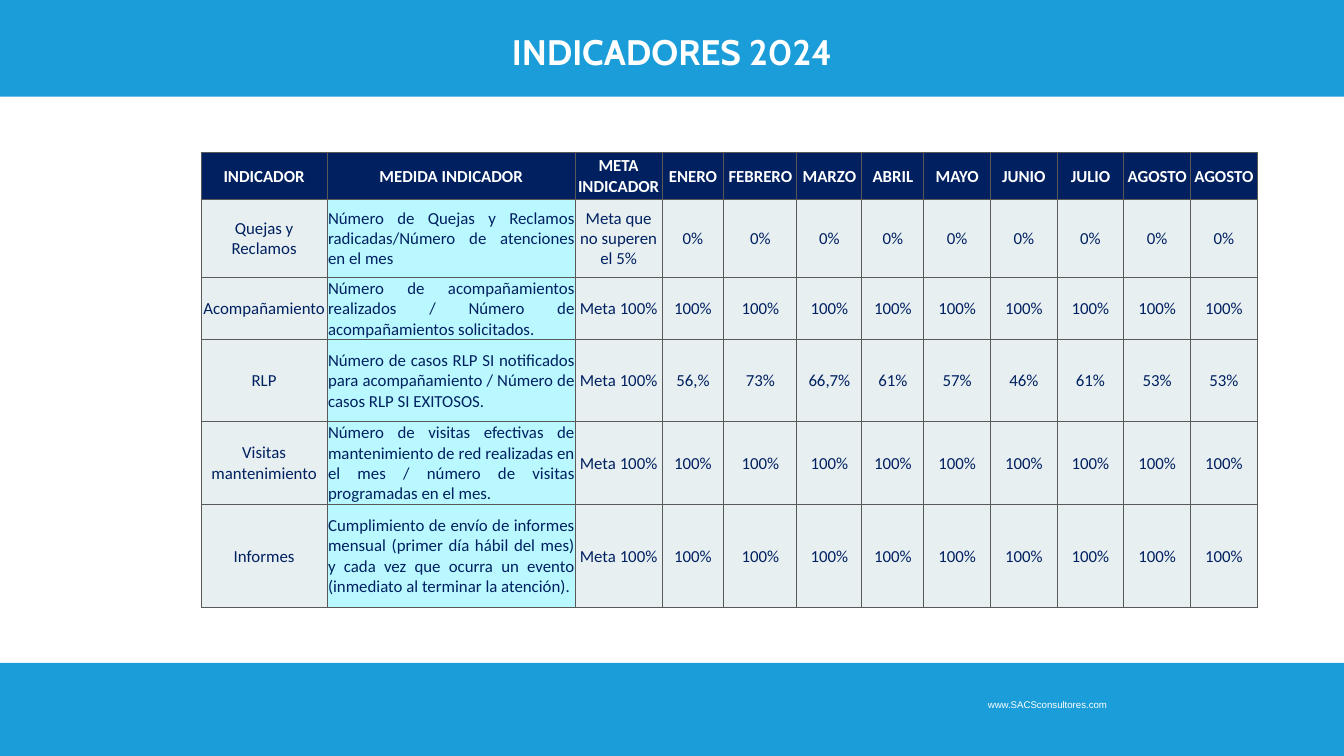
from lxml import etree
from pptx import Presentation
from pptx.dml.color import RGBColor
from pptx.enum.shapes import MSO_SHAPE
from pptx.enum.text import MSO_ANCHOR, PP_ALIGN
from pptx.oxml.ns import qn
from pptx.util import Cm, Pt

RECT = MSO_SHAPE.RECTANGLE
MIDDLE = MSO_ANCHOR.MIDDLE
LEFT, CENTER, JUSTIFY = PP_ALIGN.LEFT, PP_ALIGN.CENTER, PP_ALIGN.JUSTIFY

# Content
TITLE = "INDICADORES 2024"
WEBSITE = "www.SACSconsultores.com"
HEADER = ["INDICADOR", "MEDIDA INDICADOR", "META INDICADOR", "ENERO", "FEBRERO",
          "MARZO", "ABRIL", "MAYO", "JUNIO", "JULIO", "AGOSTO", "AGOSTO"]
INDICATORS = [
    ("Quejas y Reclamos",
     "Número de Quejas y Reclamos radicadas/Número de atenciones en el mes",
     "Meta que no superen el 5%", ["0%"] * 9),
    ("Acompañamiento",
     "Número de acompañamientos realizados / Número de acompañamientos solicitados.",
     "Meta 100%", ["100%"] * 9),
    ("RLP",
     "Número de casos RLP SI notificados para acompañamiento / "
     "Número de casos RLP SI EXITOSOS.",
     "Meta 100%",
     ["56,%", "73%", "66,7%", "61%", "57%", "46%", "61%", "53%", "53%"]),
    ("Visitas mantenimiento",
     "Número de visitas efectivas de mantenimiento de red realizadas en el mes / "
     "número de visitas programadas en el mes.",
     "Meta 100%", ["100%"] * 9),
    ("Informes",
     "Cumplimiento de envío de informes mensual (primer día hábil del mes) y cada vez "
     "que ocurra un evento (inmediato al terminar la atención).",
     "Meta 100%", ["100%"] * 9),
]

# Layout in cm
WIDTH, HEIGHT = 25.4, 14.29
TITLE_H, FOOTER_TOP = 1.83, 12.53
TABLE_LEFT, TABLE_TOP = 3.8, 2.88
COL_W = [2.38, 4.69, 1.64, 1.17, 1.38, 1.23, 1.17] + [1.26] * 5
ROW_H = [0.89, 1.47, 1.17, 1.56, 1.56, 1.95]
MEASURE_COL = 1

BLUE, NAVY, WHITE = "1A9DD9", "002060", "FFFFFF"
GREY, CYAN, BORDER = "E7EFF1", "BAF8FF", "595959"


def rgb(value):
    return RGBColor.from_string(value)


def set_text(tf, text, size, font, color, bold=False, align=CENTER, spacing=None):
    p = tf.paragraphs[0]
    p.alignment = align
    if spacing:
        p.line_spacing = spacing
    r = p.add_run()
    r.text = text
    r.font.size, r.font.name, r.font.bold = Pt(size), font, bold
    r.font.color.rgb = rgb(color)


def add_bar(s, top, height):
    sp = s.shapes.add_shape(RECT, 0, Cm(top), Cm(WIDTH), Cm(height))
    sp.shadow.inherit = False
    sp.fill.solid()
    sp.fill.fore_color.rgb = rgb(BLUE)
    sp.line.fill.background()
    return sp


def set_borders(cell, color, width):
    tcPr = cell._tc.get_or_add_tcPr()
    for side in ("lnL", "lnR", "lnT", "lnB"):
        ln = etree.SubElement(tcPr, qn("a:" + side), w=str(Pt(width)))
        fill = etree.SubElement(ln, qn("a:solidFill"))
        etree.SubElement(fill, qn("a:srgbClr"), val=color)


def format_cell(cell, fill):
    cell.vertical_anchor = MIDDLE
    cell.margin_left = cell.margin_top = cell.margin_right = Cm(0.02)
    cell.margin_bottom = 0
    set_borders(cell, BORDER, 0.5)
    cell.fill.solid()
    cell.fill.fore_color.rgb = rgb(fill)


prs = Presentation()
prs.slide_width, prs.slide_height = Cm(WIDTH), Cm(HEIGHT)
s = prs.slides.add_slide(prs.slide_layouts[6])

# Footer bar and web address
add_bar(s, FOOTER_TOP, HEIGHT - FOOTER_TOP)
tf = s.shapes.add_textbox(Cm(18.42), Cm(13.08), Cm(2.82), Cm(0.48)).text_frame
tf.word_wrap = False
set_text(tf, WEBSITE, 5.2, "Arial", WHITE, align=LEFT)

# Title bar
tf = add_bar(s, 0, TITLE_H).text_frame
tf.vertical_anchor = MIDDLE
tf.margin_left = tf.margin_top = tf.margin_right = tf.margin_bottom = Cm(0.25)
set_text(tf, TITLE, 19, "Cabin", WHITE, bold=True, spacing=1.15)

# Indicator table
rows = [HEADER] + [[name, measure, goal, *months]
                   for name, measure, goal, months in INDICATORS]
table = s.shapes.add_table(len(rows), len(HEADER), Cm(TABLE_LEFT), Cm(TABLE_TOP),
                           Cm(sum(COL_W)), Cm(sum(ROW_H))).table
table.first_row = table.horz_banding = False
for column, width in zip(table.columns, COL_W):
    column.width = Cm(width)
for row, height in zip(table.rows, ROW_H):
    row.height = Cm(height)

for i, row in enumerate(rows):
    for j, text in enumerate(row):
        cell = table.cell(i, j)
        is_header = i == 0
        is_measure = j == MEASURE_COL and not is_header
        format_cell(cell, NAVY if is_header else CYAN if is_measure else GREY)
        set_text(cell.text_frame, text, 9, "Calibri", WHITE if is_header else NAVY,
                 bold=is_header, align=JUSTIFY if is_measure else CENTER)

prs.save("out.pptx")
